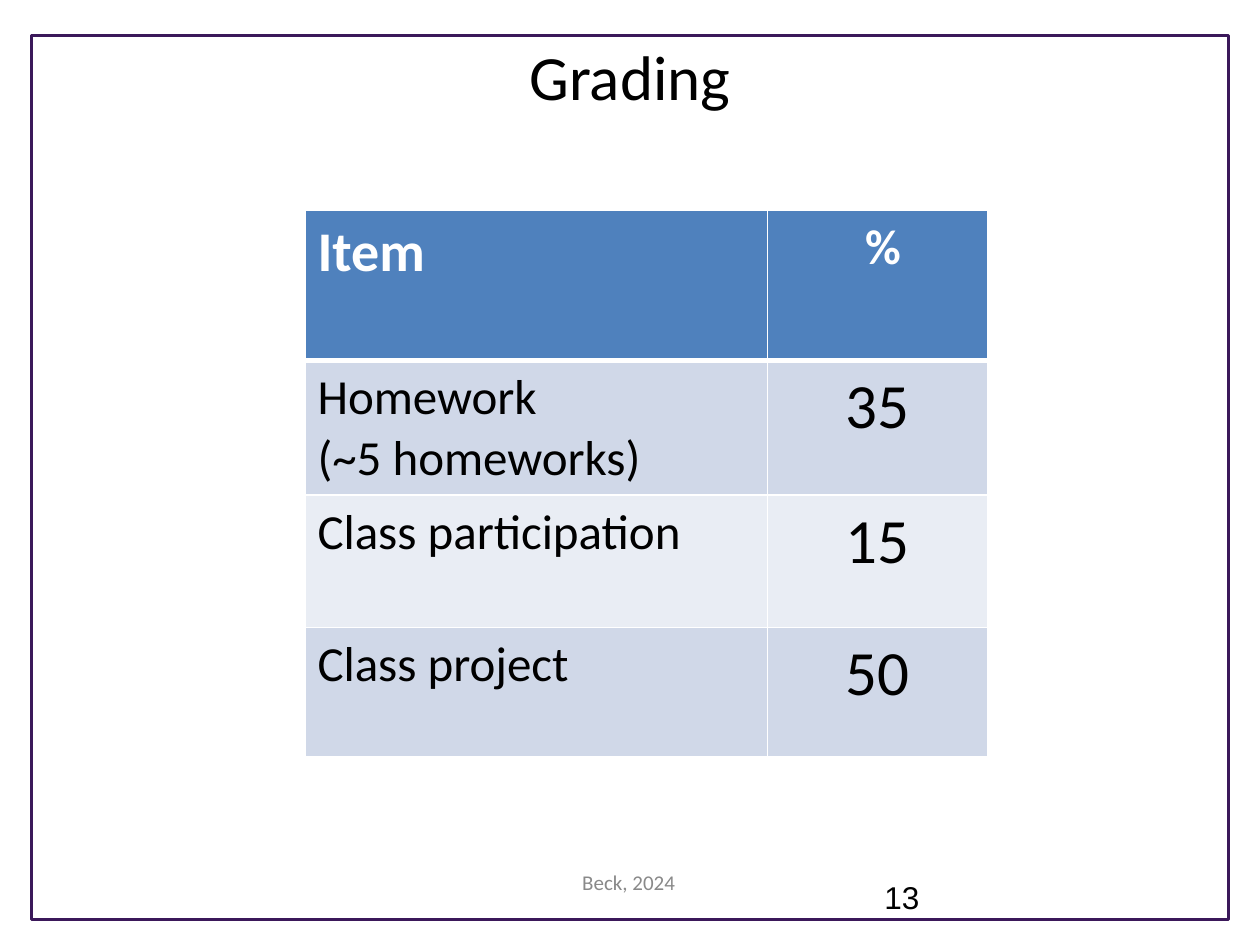
"""Build the course grading slide."""
from lxml.etree import SubElement
from pptx import Presentation
from pptx.dml.color import RGBColor
from pptx.enum.shapes import MSO_SHAPE
from pptx.enum.text import PP_ALIGN
from pptx.oxml.ns import qn
from pptx.util import Inches, Pt

BLACK = RGBColor(0x00, 0x00, 0x00)
WHITE = RGBColor(0xFF, 0xFF, 0xFF)
GRAY = RGBColor(0x89, 0x89, 0x89)
PURPLE = RGBColor(0x3B, 0x18, 0x5A)
BLUE = RGBColor(0x4F, 0x81, 0xBD)
BANDS = [RGBColor(0xE9, 0xED, 0xF4), RGBColor(0xD0, 0xD8, 0xE8)]

FRAME = (0.25, 0.28, 9.5, 7.02)
TEXTS = [
    ("Grading", (0.5, 0.25, 9, 0.92), 36, "Calibri", BLACK, PP_ALIGN.CENTER),
    ("13", (6.92, 6.92, 1.92, 0.4), 18, "Arial", BLACK, PP_ALIGN.LEFT),
    ("Beck, 2024", (3.41, 6.85, 3.16, 0.4), 12, "Calibri", GRAY, PP_ALIGN.CENTER),
]
GRADES = [
    ("Item", " %"),
    ("Homework\n(~5 homeworks)", "35"),
    ("Class participation", "15"),
    ("Class project", "50"),
]
TABLE_LEFT, TABLE_TOP = 2.42, 1.67
COLUMN_WIDTHS = [3.67, 1.75]
ROW_HEIGHTS = [1.19, 1.05, 1.05, 1.03]
HEADER_SIZES, BODY_SIZES = (32, 28), (28, 36)
ALIGNMENTS = (PP_ALIGN.LEFT, PP_ALIGN.CENTER)
THIN, THICK = 0.91, 2.95


def style(paragraph, size, font, color, alignment):
    paragraph.alignment = alignment
    paragraph.font.size = Pt(size)
    paragraph.font.name = font
    paragraph.font.color.rgb = color


def add_frame(page):
    frame = page.shapes.add_shape(MSO_SHAPE.RECTANGLE, *map(Inches, FRAME))
    frame.shadow.inherit = False
    frame.fill.background()
    frame.line.color.rgb = PURPLE
    frame.line.width = Pt(1.75)


def add_text(page, text, place, *look):
    box = page.shapes.add_textbox(*map(Inches, place))
    box.text_frame.word_wrap = True
    box.text_frame.text = text
    style(box.text_frame.paragraphs[0], *look)


def set_borders(cell, top, bottom):
    properties = cell._tc.get_or_add_tcPr()
    for side, width in (("L", THIN), ("R", THIN), ("T", top), ("B", bottom)):
        line = SubElement(properties, qn(f"a:ln{side}"), w=str(int(Pt(width))))
        fill = SubElement(line, qn("a:solidFill"))
        SubElement(fill, qn("a:srgbClr"), val=str(WHITE))


def fill_cell(cell, text, row, column):
    header = row == 0
    set_borders(cell, THICK if row == 1 else THIN, THICK if header else THIN)
    cell.fill.solid()
    cell.fill.fore_color.rgb = BLUE if header else BANDS[row % 2]
    cell.text = text
    size = (HEADER_SIZES if header else BODY_SIZES)[column]
    for paragraph in cell.text_frame.paragraphs:
        style(paragraph, size, "Calibri", WHITE if header else BLACK, ALIGNMENTS[column])
        paragraph.font.bold = header
        paragraph.line_spacing = 1.02


def add_grades(page):
    table = page.shapes.add_table(
        len(GRADES), len(COLUMN_WIDTHS), Inches(TABLE_LEFT), Inches(TABLE_TOP),
        Inches(sum(COLUMN_WIDTHS)), Inches(sum(ROW_HEIGHTS)),
    ).table
    for column, width in zip(table.columns, COLUMN_WIDTHS):
        column.width = Inches(width)
    for row, height in zip(table.rows, ROW_HEIGHTS):
        row.height = Inches(height)
    for row, texts in enumerate(GRADES):
        for column, text in enumerate(texts):
            fill_cell(table.cell(row, column), text, row, column)


def main():
    deck = Presentation()
    deck.slide_width, deck.slide_height = Inches(10), Inches(7.5)
    page = deck.slides.add_slide(deck.slide_layouts[6])
    add_frame(page)
    add_grades(page)
    for item in TEXTS:
        add_text(page, *item)
    deck.save("out.pptx")


if __name__ == "__main__":
    main()
